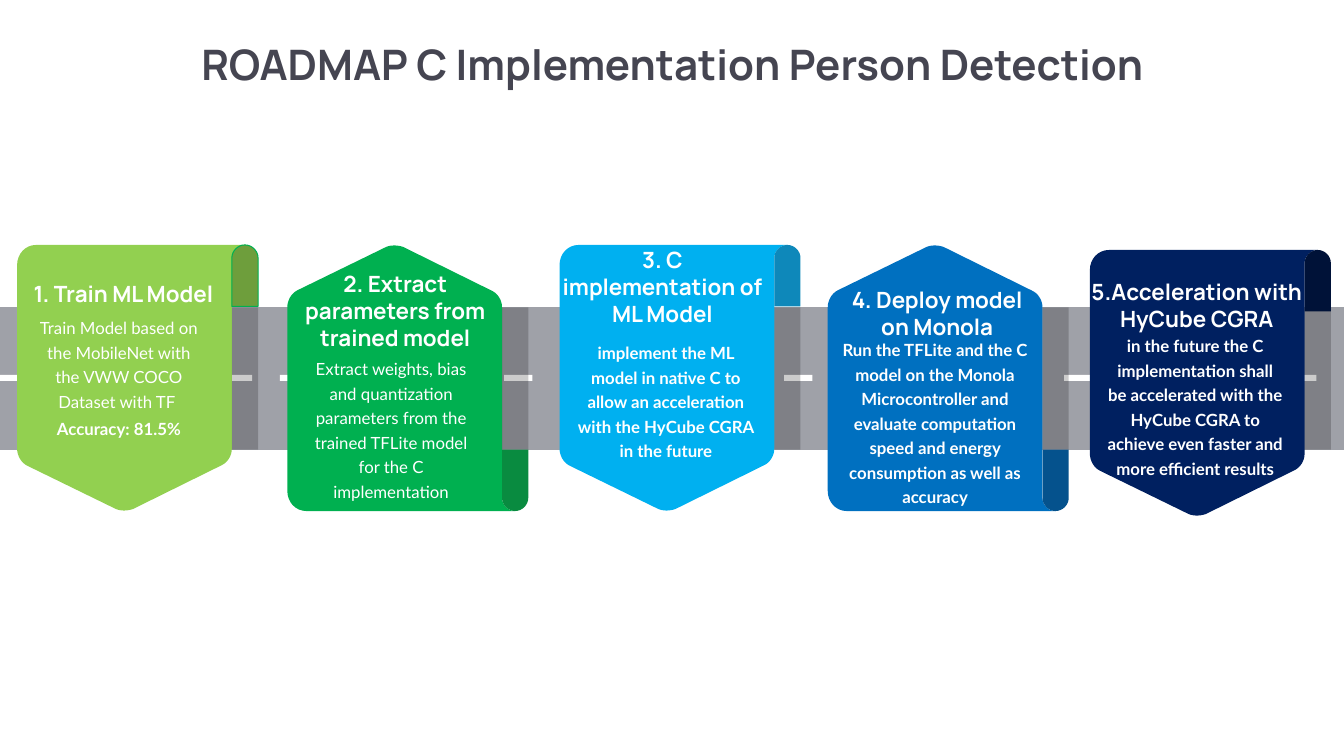
from dataclasses import dataclass

from lxml.etree import SubElement
from pptx import Presentation
from pptx.dml.color import RGBColor
from pptx.enum.text import MSO_ANCHOR as Anchor, MSO_AUTO_SIZE as AutoSize, PP_ALIGN as Align
from pptx.oxml.ns import qn
from pptx.util import Inches, Pt


@dataclass(frozen=True)
class Theme:
    title: str = "454551"
    road: str = "9FA1A8"
    white: str = "FFFFFF"
    shade: str = "000000"
    fold_line: str = "00B050"
    head_font: str = "Manrope"
    body_font: str = "Lato"
    title_size: int = 30
    head_size: int = 16
    body_size: int = 12


T = Theme()

# Outlines: two numbers are a corner, six are a Bezier curve
BANNER_H, FOLD_H, FOLD_W, FOLD_X = 2.64, 0.61, 0.26, 2.13
BANNER = [(2.26, 0), (0.19, 0), (0.08, 0, 0, 0.09, 0, 0.2),
          (0, 2.02), (0, 2.09, 0.04, 2.16, 0.1, 2.19),
          (0.98, 2.62), (1.03, 2.64, 1.09, 2.64, 1.15, 2.62),
          (2.02, 2.19), (2.09, 2.16, 2.13, 2.09, 2.13, 2.02),
          (2.13, 0.13), (2.13, 0.06, 2.19, 0, 2.26, 0)]
FOLD = [(0.26, 0.61), (0.26, 0.13), (0.26, 0.06, 0.2, 0, 0.13, 0),
        (0.06, 0, 0, 0.06, 0, 0.13), (0, 0.61)]
SHADE = [(0, 0), (FOLD_W, 0), (FOLD_W, 1.41), (0, 1.41)]
ROAD = [(0, 0), (13.33, 0), (13.33, 1.41), (0, 1.41)]
DASH = [(0, 0), (0.28, 0), (0.28, 0.06), (0, 0.06)]
ROAD_Y, DASH_Y, DASH_STEP = 3.05, 3.72, 0.5555

# Banner position, direction, colours, heading and body with their boxes
STEPS = [
    (0.17, 2.43, False, "92D050", "6E9E3C",
     "1. Train ML Model", (0.16, 2.73, 2.13, 0.37),
     [("Train Model based on the MobileNet with the VWW COCO Dataset with TF ", False),
      ("Accuracy: 81.5%", True)], (0.31, 3.08, 1.74, 1.33)),
    (2.85, 2.43, True, "00B050", "098B40",
     "2. Extract parameters from trained model", (2.71, 2.62, 2.42, 0.91),
     [("Extract weights, bias and quantization parameters from the trained "
       "TFLite model for the C implementation", False)], (3.01, 3.49, 1.74, 1.83)),
    (5.55, 2.43, False, "00B0F0", "0E88BA",
     "3. C implementation of ML Model", (5.46, 2.38, 2.22, 0.91),
     [("implement the ML model in native C to allow an acceleration with the "
       "HyCube CGRA in the future", True)], (5.68, 3.33, 1.85, 1.87)),
    (8.21, 2.43, True, "0070C0", "05528D",
     "4. Deploy model on Monola", (8.25, 2.78, 2.09, 0.64),
     [("Run the TFLite and the C model on the Monola Microcontroller and evaluate "
       "computation speed and energy consumption as well as accuracy", True)],
     (8.21, 3.3, 2.13, 1.79)),
    (10.81, 2.48, False, "002060", "001238",
     "5.Acceleration with HyCube CGRA", (10.72, 2.43, 2.3, 0.91),
     [("in the future the C implementation shall be accelerated with the HyCube "
       "CGRA to achieve even faster and more efficient results", True)],
     (10.93, 3.26, 1.85, 2.12)),
]


def add_outline(outline, origins, color, flip_h=None):
    """Draw an outline once per origin as one shape; flip_h mirrors it in that height."""
    points = []
    for part in outline:
        if len(part) == 2:
            points.append(part)
            continue
        x0, y0 = points[-1]
        x1, y1, x2, y2, x3, y3 = part
        for t in [i / 8 for i in range(1, 9)]:
            a, b, c, d = (1 - t) ** 3, 3 * t * (1 - t) ** 2, 3 * t * t * (1 - t), t ** 3
            points.append((a * x0 + b * x1 + c * x2 + d * x3,
                           a * y0 + b * y1 + c * y2 + d * y3))
    if flip_h:
        points = [(x, flip_h - y) for x, y in points]
    builder = None
    for left, top in origins:
        first, *rest = [(Inches(left + x), Inches(top + y)) for x, y in points]
        if builder is None:
            builder = s.shapes.build_freeform(*first)
        else:
            builder.move_to(*first)
        builder.add_line_segments(rest, close=True)
    sp = builder.convert_to_shape()
    sp.shadow.inherit = False
    sp.fill.solid()
    sp.fill.fore_color.rgb = RGBColor.from_string(color)
    sp.line.fill.background()
    return sp


def write_text(sp, box, lines, font, size, color):
    """Place a text shape and fill it with centred (text, bold) lines."""
    sp.left, sp.top, sp.width, sp.height = [Inches(v) for v in box]
    tf = sp.text_frame
    tf.word_wrap = True
    tf.auto_size = AutoSize.SHAPE_TO_FIT_TEXT
    tf.text = "\n".join(text for text, _ in lines)
    for p, (_, bold) in zip(tf.paragraphs, lines):
        p.alignment = Align.CENTER
        for r in p.runs:
            r.font.name, r.font.size, r.font.bold = font, Pt(size), bold
            r.font.color.rgb = RGBColor.from_string(color)
    return tf


prs = Presentation()
prs.slide_width, prs.slide_height = Inches(13.33), Inches(7.5)
s = prs.slides.add_slide(prs.slide_layouts[5])

# Title
tf = write_text(s.shapes.title, (1.58, 0.33, 10.18, 0.61),
                [("ROADMAP C Implementation Person Detection", True)],
                T.head_font, T.title_size, T.title)
tf.word_wrap = False

# Road with its dashed centre line
add_outline(ROAD, [(0, ROAD_Y)], T.road)
add_outline(DASH, [(i * DASH_STEP, DASH_Y) for i in range(24)], T.white)

# Banners
for x, y, up, color, fold_color, heading, head_box, body, body_box in STEPS:
    fold_x = x + FOLD_X
    fold_y = y + BANNER_H - FOLD_H if up else y
    add_outline(BANNER, [(x, y)], color, BANNER_H if up else None)

    shade = add_outline(SHADE, [(fold_x, ROAD_Y)], T.shade)
    rgb = shade.fill._xPr.find(".//" + qn("a:srgbClr"))
    SubElement(rgb, qn("a:alpha"), val="20000")

    fold = add_outline(FOLD, [(fold_x, fold_y)], fold_color, FOLD_H if up else None)
    if x == STEPS[0][0]:
        fold.line.color.rgb = RGBColor.from_string(T.fold_line)
        fold.line.width = Pt(0.75)

    tf = write_text(s.shapes.add_textbox(0, 0, 0, 0), body_box, body,
                    T.body_font, T.body_size, T.white)
    tf.margin_left = tf.margin_right = Inches(0.05)
    tf.margin_top = tf.margin_bottom = Inches(0.03)
    for i, p in enumerate(tf.paragraphs):
        p.line_spacing = Pt(17.5)
        if i:
            p.space_before = Pt(2.4)

    tf = write_text(s.shapes.add_textbox(0, 0, 0, 0), head_box, [(heading, True)],
                    T.head_font, T.head_size, T.white)
    tf.vertical_anchor = Anchor.BOTTOM

prs.save("out.pptx")
